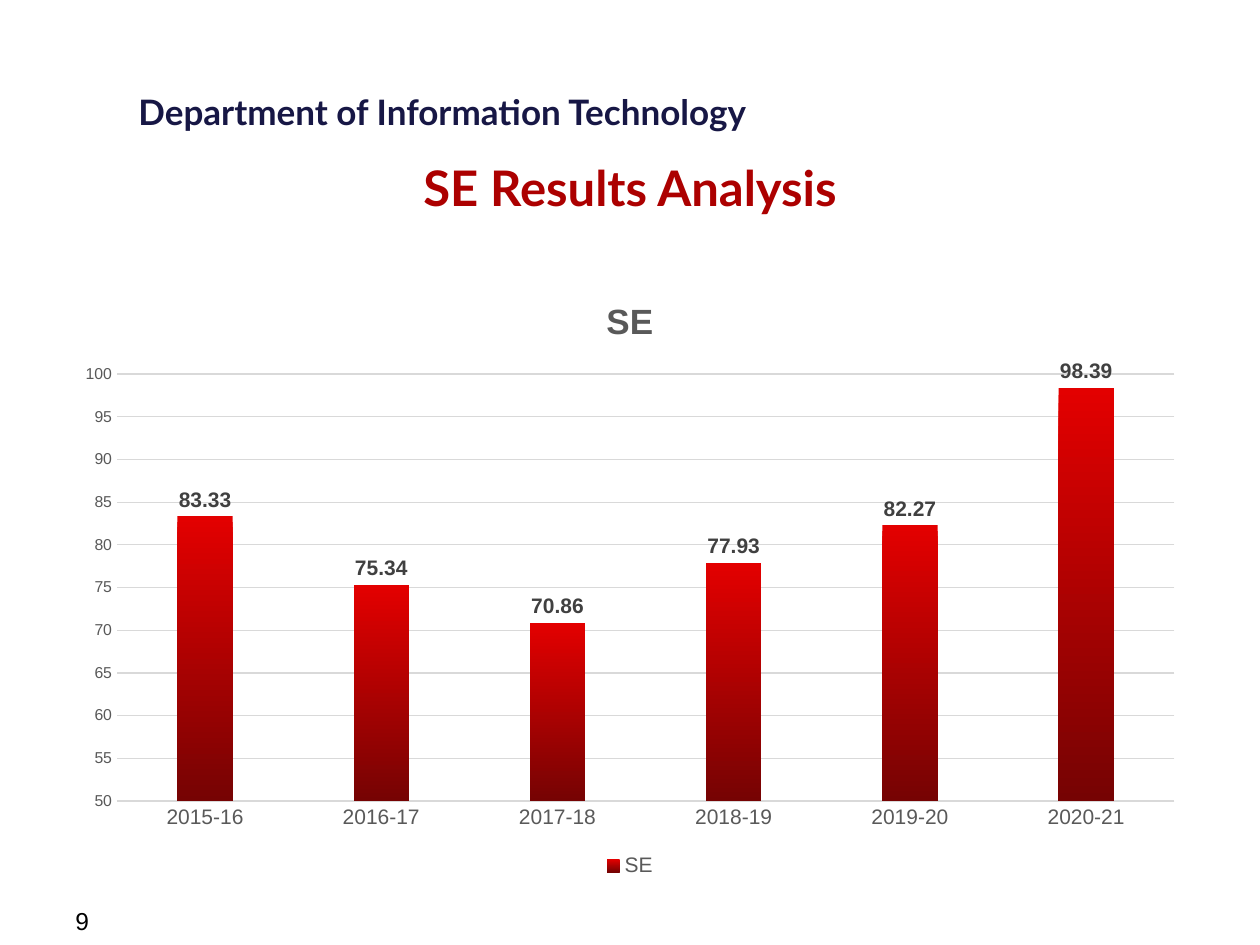
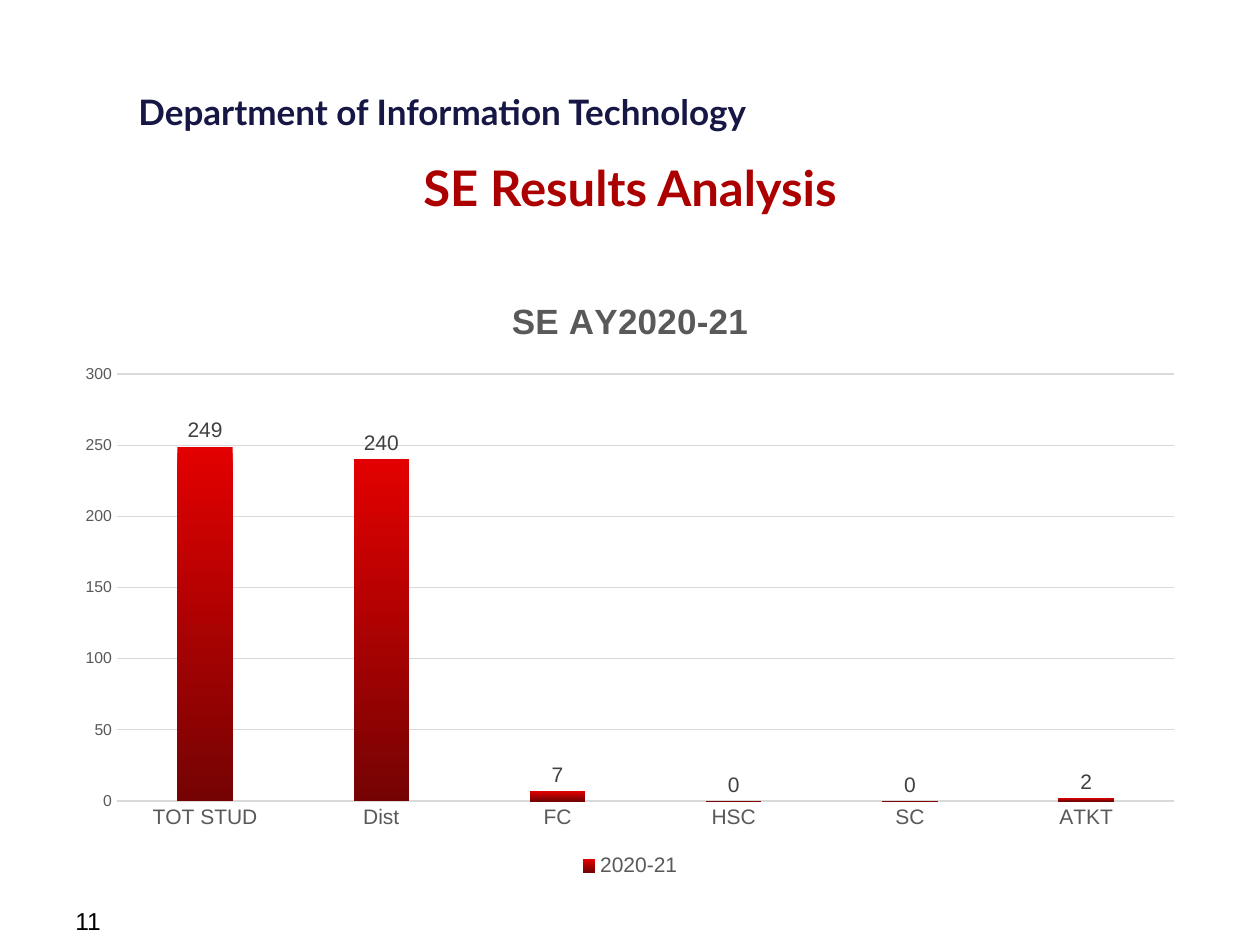
"""Build the two slides of second-year result charts."""
from dataclasses import dataclass
from typing import Optional

from pptx import Presentation
from pptx.chart.chart import Chart
from pptx.chart.data import CategoryChartData
from pptx.dml.color import RGBColor
from pptx.enum.chart import XL_CHART_TYPE as ChartType
from pptx.enum.chart import XL_LABEL_POSITION as LabelPosition
from pptx.enum.chart import XL_LEGEND_POSITION as LegendPosition
from pptx.enum.chart import XL_TICK_MARK as TickMark
from pptx.enum.text import MSO_AUTO_SIZE as AutoSize
from pptx.enum.text import PP_ALIGN as Align
from pptx.slide import Slide
from pptx.text.text import Font
from pptx.util import Inches, Pt

COLORS = {
    "navy": "171745",
    "title": "AC0000",
    "black": "000000",
    "axis_text": "595959",
    "label": "404040",
    "grid": "D9D9D9",
    "bar_top": "E30000",
    "bar_bottom": "760303",
}


@dataclass(frozen=True)
class TextStyle:
    left: float
    top: float
    width: float
    height: float
    size: int
    color: str
    face: str = "Lato"
    bold: bool = True
    align: Align = Align.LEFT
    wrap: bool = True


@dataclass(frozen=True)
class ResultSlide:
    number: int
    chart_title: str
    series: str
    results: dict[str, float]
    bold_labels: bool = False
    minimum: Optional[float] = None
    maximum: Optional[float] = None


DEPARTMENT = TextStyle(1, 0.67, 5.35, 0.44, 20, "navy", wrap=False)
HEADING = TextStyle(0.5, 1.2, 9, 0.48, 28, "title", align=Align.CENTER)
PAGE_NUMBER = TextStyle(0.5, 7.14, 2.33, 0.27, 14, "black", "Arial", False)

RESULT_SLIDES = [
    ResultSlide(
        9, "SE", "SE",
        {"2015-16": 83.33, "2016-17": 75.34, "2017-18": 70.86,
         "2018-19": 77.93, "2019-20": 82.27, "2020-21": 98.39},
        bold_labels=True, minimum=50, maximum=100,
    ),
    ResultSlide(
        11, "SE AY2020-21", "2020-21",
        {"TOT STUD": 249, "Dist": 240, "FC": 7, "HSC": 0, "SC": 0, "ATKT": 2},
    ),
]


def rgb(name: str) -> RGBColor:
    return RGBColor.from_string(COLORS[name])


def style_font(font: Font, size: int, color: str, face: str = "Arial",
               bold: bool = False) -> None:
    font.size = Pt(size)
    font.color.rgb = rgb(color)
    font.name = face
    font.bold = bold


def add_text(slide: Slide, text: str, style: TextStyle) -> None:
    box = slide.shapes.add_textbox(Inches(style.left), Inches(style.top),
                                   Inches(style.width), Inches(style.height))
    frame = box.text_frame
    frame.word_wrap = style.wrap
    frame.auto_size = AutoSize.NONE if style.wrap else AutoSize.SHAPE_TO_FIT_TEXT
    frame.text = text
    paragraph = frame.paragraphs[0]
    paragraph.alignment = style.align
    style_font(paragraph.runs[0].font, style.size, style.color, style.face, style.bold)


def style_axes(chart: Chart, content: ResultSlide) -> None:
    years, scores = chart.category_axis, chart.value_axis
    for axis, size in ((years, 12), (scores, 9)):
        axis.major_tick_mark = axis.minor_tick_mark = TickMark.NONE
        style_font(axis.tick_labels.font, size, "axis_text")
    scores.has_major_gridlines = True
    for line in (years.format.line, scores.major_gridlines.format.line):
        line.color.rgb = rgb("grid")
        line.width = Pt(0.75)
    scores.format.line.fill.background()
    scores.minimum_scale = content.minimum
    scores.maximum_scale = content.maximum


def style_bars(chart: Chart, bold_labels: bool) -> None:
    plot = chart.plots[0]
    plot.vary_by_categories = False
    plot.gap_width = 219
    plot.overlap = -27
    bars = plot.series[0]
    bars.invert_if_negative = False
    fill = bars.format.fill
    fill.gradient()
    fill.gradient_angle = 270
    for stop, color in zip(fill.gradient_stops, ("bar_top", "bar_bottom")):
        stop.color.rgb = rgb(color)
    labels = bars.data_labels
    labels.show_value = True
    labels.position = LabelPosition.OUTSIDE_END
    style_font(labels.font, 12, "label", bold=bold_labels)


def add_result_chart(slide: Slide, content: ResultSlide) -> None:
    data = CategoryChartData()
    data.categories = list(content.results)
    data.add_series(content.series, list(content.results.values()))
    chart = slide.shapes.add_chart(ChartType.COLUMN_CLUSTERED, Inches(0.5), Inches(2.17),
                                   Inches(9), Inches(4.83), data).chart
    style_font(chart.font, 10, "black")
    chart.has_title = True
    title = chart.chart_title.text_frame
    title.text = content.chart_title
    style_font(title.paragraphs[0].runs[0].font, 20, "axis_text", bold=True)
    chart.has_legend = True
    chart.legend.position = LegendPosition.BOTTOM
    chart.legend.include_in_layout = False
    style_font(chart.legend.font, 12, "axis_text")
    style_axes(chart, content)
    style_bars(chart, content.bold_labels)


def main() -> None:
    deck = Presentation()
    deck.slide_width, deck.slide_height = Inches(10), Inches(7.5)
    for content in RESULT_SLIDES:
        slide = deck.slides.add_slide(deck.slide_layouts[6])
        add_text(slide, "Department of Information Technology", DEPARTMENT)
        add_text(slide, "SE Results Analysis", HEADING)
        add_text(slide, str(content.number), PAGE_NUMBER)
        add_result_chart(slide, content)
    deck.save("out.pptx")


if __name__ == "__main__":
    main()
